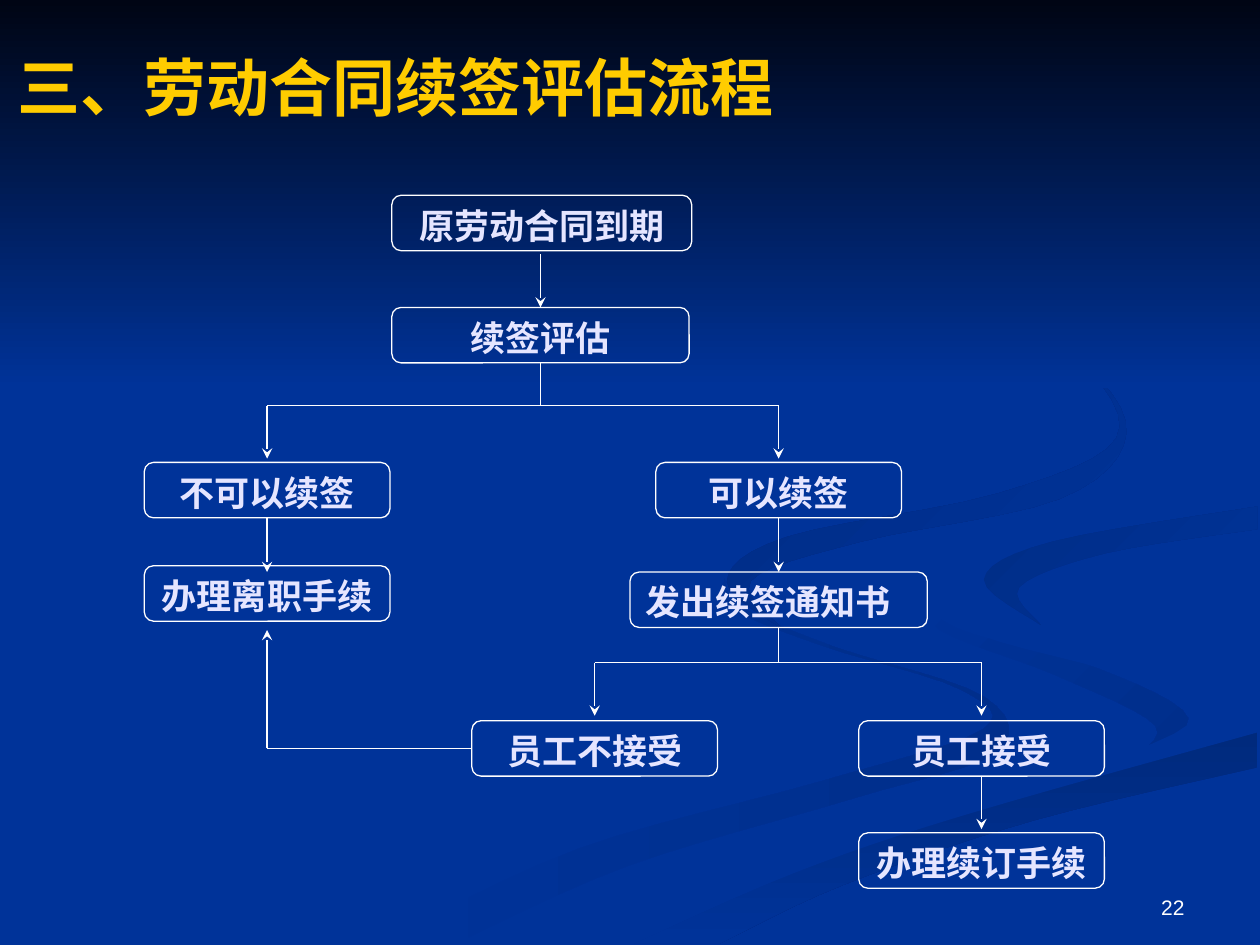
from lxml import etree
from pptx import Presentation
from pptx.dml.color import RGBColor
from pptx.enum.shapes import MSO_CONNECTOR, MSO_SHAPE
from pptx.enum.text import MSO_ANCHOR, PP_ALIGN
from pptx.oxml.ns import qn
from pptx.util import Inches, Pt

STRAIGHT = MSO_CONNECTOR.STRAIGHT
RECT, ROUND_RECT = MSO_SHAPE.RECTANGLE, MSO_SHAPE.ROUNDED_RECTANGLE
TOP, MIDDLE, BOTTOM = MSO_ANCHOR.TOP, MSO_ANCHOR.MIDDLE, MSO_ANCHOR.BOTTOM
LEFT, CENTER, RIGHT = PP_ALIGN.LEFT, PP_ALIGN.CENTER, PP_ALIGN.RIGHT
SITE_TOP, SITE_LEFT, SITE_BOTTOM = 0, 1, 2

BLUE = RGBColor(0x00, 0x33, 0x99)
NIGHT = RGBColor(0x00, 0x05, 0x14)
SHADE_1 = RGBColor(0x00, 0x2E, 0x8B)
SHADE_2 = RGBColor(0x00, 0x2A, 0x7D)
SHADE_3 = RGBColor(0x00, 0x2D, 0x86)
SHADE_4 = RGBColor(0x00, 0x2B, 0x82)
GOLD = RGBColor(0xFF, 0xCC, 0x00)
LAVENDER = RGBColor(0xE5, 0xE5, 0xFF)
WHITE = RGBColor(0xFF, 0xFF, 0xFF)

BOX_H = 0.44
NARROW, WIDE = 1.95, 2.36
CURVE_STEPS = 6

# Each ribbon: two edges in inches, two gradient colours, clockwise angle
RIBBONS = [
    ([(5.75, 4.59), (5.81, 4.83), (6.54, 5.13), (7.62, 5.47), (7.8, 5.79),
      (6.52, 6.2), (4.58, 6.74), (3, 7.49)],
     [(3.61, 7.49), (4.99, 6.87), (6.76, 6.34), (7.91, 5.97), (7.81, 5.53),
      (6.61, 5.13), (5.87, 4.81), (5.75, 4.59)], BLUE, SHADE_1, 0),
    ([(7.24, 4.64), (7.58, 4.98), (8.7, 5.3), (9.43, 5.7), (8.94, 6.05)],
     [(8.94, 6.05), (9.17, 5.76), (8.38, 5.36), (7.46, 5), (7.24, 4.64)],
     BLUE, SHADE_1, 45),
    ([(5.03, 7.49), (6.3, 6.93), (7.64, 6.47), (9.98, 5.81)],
     [(9.98, 6.09), (8.21, 6.51), (6.7, 7.02), (5.71, 7.49)], SHADE_2, BLUE, 90),
    ([(9.99, 3.87), (7.88, 4.22), (7.25, 4.64), (7.75, 5.03), (9.05, 5.4),
      (9.43, 5.75), (8.13, 6.25), (6.19, 6.84), (4.77, 7.49)],
     [(5.03, 7.49), (6.3, 6.93), (7.65, 6.47), (9.99, 5.81)],
     BLUE, BLUE, 0),
    ([(9.98, 4.02), (8.35, 4.3), (7.81, 4.6), (8.26, 4.96)],
     [(8.26, 4.96), (8.09, 4.66), (8.78, 4.39), (9.98, 4.2)],
     SHADE_3, BLUE, 45),
    ([(7.62, 2.33), (8.54, 2.83), (8.94, 3.44), (8.41, 3.96), (6.83, 4.3),
      (5.96, 4.61), (6.22, 5)],
     [(6.22, 5), (5.77, 4.62), (6.25, 4.26), (7.91, 3.92), (8.86, 3.48),
      (8.55, 2.85), (7.62, 2.33)], SHADE_4, BLUE, 45),
]


def smooth(points):
    """Return a Catmull-Rom curve through the points."""
    padded = [points[0], *points, points[-1]]
    curve = [points[0]]
    for quad in zip(padded, padded[1:], padded[2:], padded[3:]):
        for step in range(1, CURVE_STEPS + 1):
            t = step / CURVE_STEPS
            curve.append(tuple(
                b + t * (c - a) / 2
                + t ** 2 * (a - 2.5 * b + 2 * c - d / 2)
                + t ** 3 * (3 * (b - c) + d - a) / 2
                for a, b, c, d in zip(*quad)))
    return curve


def paint(sp, start, end, clockwise):
    """Fill a shape with a two-colour gradient and no outline."""
    sp.shadow.inherit = False
    sp.line.fill.background()
    if start == end:
        sp.fill.solid()
        sp.fill.fore_color.rgb = start
        return
    sp.fill.gradient()
    sp.fill.gradient_angle = (360 - clockwise) % 360
    for stop, color, position in zip(sp.fill.gradient_stops, (start, end), (0, 1)):
        stop.color.rgb = color
        stop.position = position


def write(sp, text, size, font, color, align, anchor, bold=False):
    tf = sp.text_frame
    tf.word_wrap = True
    tf.vertical_anchor = anchor
    p = tf.paragraphs[0]
    p.alignment = align
    r = p.add_run()
    r.text = text
    r.font.size = Pt(size)
    r.font.name = font
    r.font.bold = bold
    r.font.color.rgb = color


def add_background(s, width, height):
    s.background.fill.solid()
    s.background.fill.fore_color.rgb = BLUE
    for edge, back, start, end, angle in RIBBONS:
        outline = [(Inches(x), Inches(y)) for x, y in smooth(edge) + smooth(back)]
        builder = s.shapes.build_freeform(*outline[0])
        builder.add_line_segments(outline[1:], close=True)
        paint(builder.convert_to_shape(), start, end, angle)
    sky = s.shapes.add_shape(RECT, 0, 0, width, height)
    paint(sky, NIGHT, BLUE, 90)


def add_title(s, text, left, top, width, height):
    sp = s.shapes.title
    sp.left, sp.top, sp.width, sp.height = left, top, width, height
    write(sp, text, 36, "Times New Roman", GOLD, LEFT, MIDDLE, bold=True)
    # The title comes first in the tree, so raise it above the background
    s.shapes._spTree.append(sp._element)


def add_page_number(s, text, left, top, width, height):
    sp = s.shapes.add_textbox(left, top, width, height)
    write(sp, text, 12, "Arial", WHITE, RIGHT, BOTTOM)


def add_step(s, text, center, top, width=NARROW, align=CENTER):
    sp = s.shapes.add_shape(ROUND_RECT, Inches(center - width / 2), Inches(top),
                            Inches(width), Inches(BOX_H))
    sp.shadow.inherit = False
    sp.fill.background()
    sp.line.color.rgb = WHITE
    sp.line.width = Pt(0.75)
    write(sp, text, 20, "Times New Roman", LAVENDER, align, TOP, bold=True)
    return sp


def add_link(s, x1, y1, x2, y2, arrow=True, begin=None, end=None):
    """Draw a line; begin and end are optional (step, site) joins."""
    line = s.shapes.add_connector(STRAIGHT, Inches(x1), Inches(y1),
                                  Inches(x2), Inches(y2))
    if begin:
        line.begin_connect(*begin)
    if end:
        line.end_connect(*end)
    line.line.color.rgb = WHITE
    line.line.width = Pt(0.75)
    if arrow:
        etree.SubElement(line.line._get_or_add_ln(), qn("a:tailEnd"), type="stealth")
    etree.SubElement(line._element.spPr, qn("a:effectLst"))


def add_branch(s, step, center, top, bar, left, right):
    """Split the flow below a step into two arrows."""
    add_link(s, center, top, center, bar, arrow=False, begin=(step, SITE_BOTTOM))
    add_link(s, left, bar, right, bar, arrow=False)
    for x in (left, right):
        add_link(s, x, bar, x, bar + 0.42)


def add_flow(s):
    main, refuse, renew, decline, accept = 4.29, 2.12, 6.18, 4.72, 7.79

    add_step(s, "原劳动合同到期", main + 0.01, 1.55, 2.38)
    review = add_step(s, "续签评估", main, 2.44, WIDE)
    no = add_step(s, "不可以续签", refuse, 3.67)
    yes = add_step(s, "可以续签", renew, 3.67)
    add_step(s, "办理离职手续", refuse, 4.49)
    notice = add_step(s, "发出续签通知书", renew, 4.54, WIDE, LEFT)
    declined = add_step(s, "员工不接受", decline, 5.72)
    accepted = add_step(s, "员工接受", accept, 5.72)
    add_step(s, "办理续订手续", accept, 6.61)

    add_link(s, main, 2.02, main, 2.44, end=(review, SITE_TOP))
    add_branch(s, review, main, 2.88, 3.22, refuse, renew)
    add_link(s, refuse, 4.11, refuse, 4.54, begin=(no, SITE_BOTTOM))
    add_link(s, renew, 4.11, renew, 4.54, begin=(yes, SITE_BOTTOM),
             end=(notice, SITE_TOP))
    add_branch(s, notice, renew, 4.98, 5.26, decline, accept)
    add_link(s, accept, 6.16, accept, 6.58, begin=(accepted, SITE_BOTTOM))
    corner = 5.72 + BOX_H / 2
    add_link(s, decline - NARROW / 2, corner, refuse, corner, arrow=False,
             begin=(declined, SITE_LEFT))
    add_link(s, refuse, corner, refuse, 5)


def main():
    prs = Presentation()
    prs.slide_width, prs.slide_height = Inches(10), Inches(7.5)
    s = prs.slides.add_slide(prs.slide_layouts[5])
    add_background(s, prs.slide_width, Inches(3.08))
    add_page_number(s, "22", Inches(7.17), Inches(6.83), Inches(2.33), Inches(0.52))
    add_title(s, "三、劳动合同续签评估流程",
              Inches(0.04), Inches(0.06), Inches(9), Inches(1.25))
    add_flow(s)
    prs.save("out.pptx")


if __name__ == "__main__":
    main()
